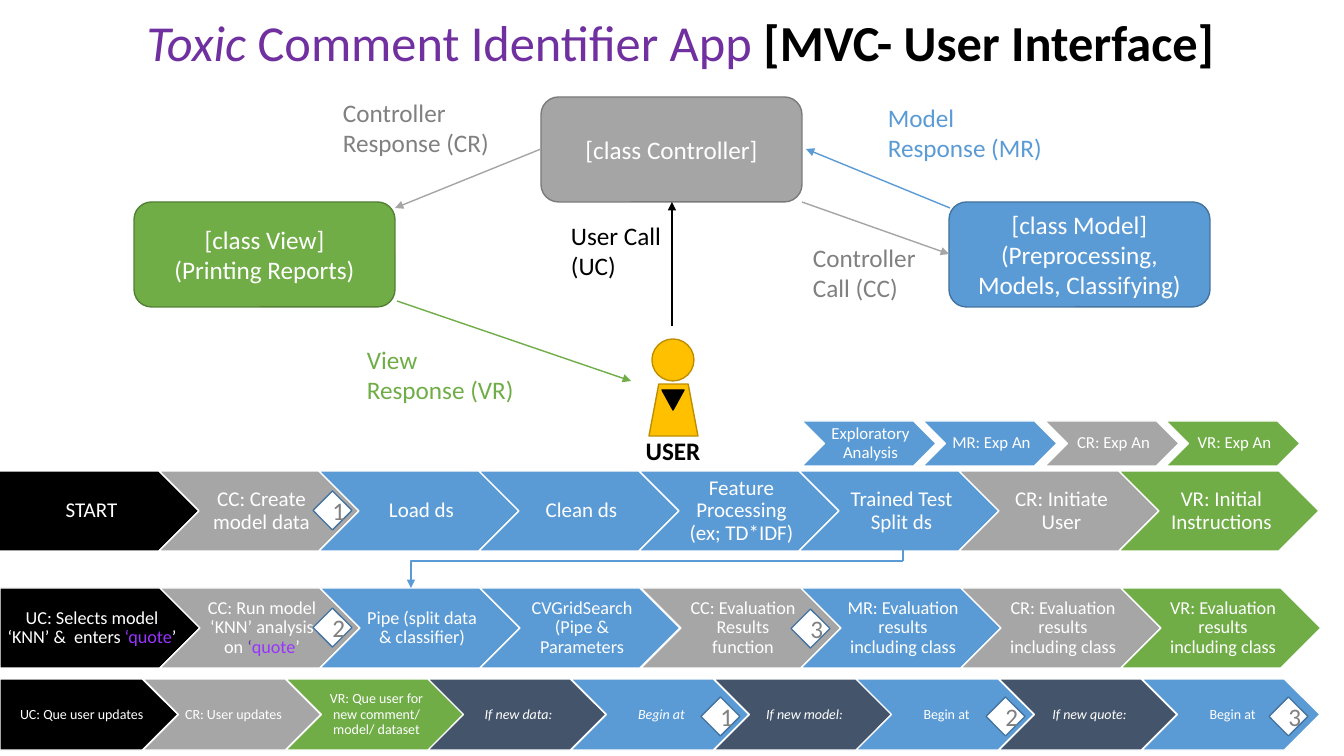
from lxml.etree import SubElement
from pptx import Presentation
from pptx.dml.color import RGBColor
from pptx.enum.shapes import MSO_CONNECTOR as LINK, MSO_SHAPE as SHAPE
from pptx.enum.text import MSO_ANCHOR as ANCHOR, PP_ALIGN as ALIGN
from pptx.oxml.ns import qn
from pptx.util import Inches, Pt

SCALE = Inches(1) / 100.8
FONT = "Calibri"
COLORS = {
    "black": "000000", "white": "FFFFFF", "purple": "7030A0", "violet": "9933FF",
    "green": "70AD47", "green edge": "538035", "blue": "5B9BD5", "blue edge": "43739E",
    "gray": "A5A5A5", "gray edge": "7A7A7A", "step gray": "A6A6A6", "label gray": "808080",
    "slate": "44546A", "gold": "FFC000", "gold edge": "BD8E00",
}

START_STEPS = [
    ("black", "START"), ("step gray", "CC: Create model data"), ("blue", "Load ds"),
    ("blue", "Clean ds"), ("blue", "Feature Processing (ex; TD*IDF)"),
    ("blue", "Trained Test Split ds"), ("step gray", "CR: Initiate User"),
    ("green", "VR: Initial Instructions"),
]
QUOTE_STEPS = [
    ("black", [("UC: Selects model ‘KNN’ &  enters ", {}), ("‘quote", {"color": "violet"}),
               ("’", {})]),
    ("step gray", [("CC: Run model ‘KNN’ analysis on ", {}), ("‘", {"color": "purple"}),
                   ("quote", {"color": "violet"}), ("’", {})]),
    ("blue", "Pipe (split data & classifier)"),
    ("blue", "CVGridSearch (Pipe & Parameters"),
    ("step gray", "CC: Evaluation Results function"),
    ("blue", "MR: Evaluation results including class"),
    ("step gray", "CR: Evaluation results including class"),
    ("green", "VR: Evaluation results including class"),
]
UPDATE_STEPS = [
    ("black", "UC: Que user updates"), ("step gray", "CR: User updates"),
    ("green", "VR: Que user for new comment/ model/ dataset"),
    ("slate", [("If new data:", {"italic": True})]),
    ("blue", [("Begin at", {"italic": True})]),
    ("slate", [("If new model:", {"italic": True})]),
    ("blue", "Begin at"),
    ("slate", [("If new quote:", {"italic": True})]),
    ("blue", "Begin at"),
]
EXPLORE_STEPS = [
    ("blue", "Exploratory Analysis"), ("blue", "MR: Exp An"),
    ("step gray", "CR: Exp An"), ("green", "VR: Exp An"),
]
CLASSES = [
    ((134, 202, 261, 105), "green", ["[class View]", "(Printing Reports)"]),
    ((949, 202, 261, 105), "blue", ["[class Model]", "(Preprocessing, Models, Classifying)"]),
    ((541, 97, 261, 105), "gray", ["[class Controller]"]),
]
CALLS = [
    ((397, 301), (631, 381), "green"), ((672, 326), (672, 202), "black"),
    ((541, 149), (395, 208), "gray"), ((802, 202), (949, 254), "gray"),
    ((950, 208), (806, 149), "blue"),
]
CALL_LABELS = [
    ((333, 92, 171, 71), "label gray", "Controller Response (CR)"),
    ((357, 339, 167, 71), "green", "View Response (VR)"),
    ((561, 215, 123, 71), "black", "User Call (UC)"),
    ((803, 237, 129, 71), "label gray", "Controller Call (CC)"),
    ((878, 97, 182, 71), "blue", "Model Response (MR)"),
]
MARKERS = [(701, 697, "1"), (313, 491, "1"), (986, 697, "2"),
           (313, 608, "2"), (1269, 697, "3"), (791, 609, "3")]


def px(length):
    return int(length * SCALE)


def rgb(color):
    return RGBColor.from_string(COLORS[color])


def write(frame, paragraphs, size, color, align=ALIGN.CENTER, bold=False, spacing=None):
    for index, content in enumerate(paragraphs):
        paragraph = frame.paragraphs[0] if index == 0 else frame.add_paragraph()
        paragraph.alignment = align
        paragraph.line_spacing = spacing
        pieces = [(content, {})] if isinstance(content, str) else content
        for words, style in pieces:
            run = paragraph.add_run()
            run.text = words
            run.font.name = FONT
            run.font.size = Pt(size)
            run.font.bold = style.get("bold", bold)
            run.font.italic = style.get("italic", False)
            run.font.color.rgb = rgb(style.get("color", color))


def add_figure(slide, preset, box, fill, edge, rotation=0):
    figure = slide.shapes.add_shape(preset, *map(px, box))
    figure.shadow.inherit = False
    figure.fill.solid()
    figure.fill.fore_color.rgb = rgb(fill)
    figure.line.color.rgb = rgb(edge)
    figure.line.width = Pt(1)
    figure.rotation = rotation
    figure.text_frame.word_wrap = True
    figure.text_frame.vertical_anchor = ANCHOR.MIDDLE
    return figure


def add_label(slide, box, color, words, **style):
    frame = slide.shapes.add_textbox(*map(px, box)).text_frame
    frame.word_wrap = True
    write(frame, [words], 18, color, **style)


def add_link(slide, start, end, color, arrow=True, kind=LINK.STRAIGHT):
    link = slide.shapes.add_connector(kind, *map(px, start + end))
    link.line.color.rgb = rgb(color)
    link.line.width = Pt(1)
    properties = link._element.spPr
    if arrow:
        SubElement(properties.find(qn("a:ln")), qn("a:tailEnd"), type="triangle")
    SubElement(properties, qn("a:effectLst"))
    return link


def add_corner_link(slide, start, end, color):
    link = add_link(slide, start, end, color, kind=LINK.ELBOW)
    geometry = link._element.spPr.find(qn("a:prstGeom"))
    guides = geometry.find(qn("a:avLst"))
    if guides is None:
        guides = SubElement(geometry, qn("a:avLst"))
    SubElement(guides, qn("a:gd"), name="adj1", fmla="val 100000")


def add_steps(slide, steps, first, last, top, size, points, insets):
    pitch = (last - first) / (len(steps) - 1)
    for index, (fill, words) in enumerate(steps):
        preset = SHAPE.PENTAGON if fill == "black" else SHAPE.CHEVRON
        box = (first + round(index * pitch), top, *size)
        frame = add_figure(slide, preset, box, fill, "white").text_frame
        frame.margin_left, frame.margin_right = px(insets[0]), px(insets[1])
        frame.margin_top = frame.margin_bottom = px(insets[2])
        write(frame, [words], points, "white", spacing=0.9)


def add_title(slide):
    title = slide.shapes.title
    title.left, title.top, title.width, title.height = map(px, (134, 5, 1093, 72))
    title.text_frame.word_wrap = False
    write(title.text_frame, [[
        ("Toxic ", {"italic": True}),
        ("Comment Identifier App ", {}),
        ("[MVC- User Interface]", {"color": "black", "bold": True}),
    ]], 36, "purple")


def add_user(slide):
    add_figure(slide, SHAPE.FLOWCHART_MANUAL_OPERATION, (649, 384, 49, 52),
               "gold", "gold edge", 180)
    add_figure(slide, SHAPE.OVAL, (652, 339, 42, 42), "gold", "gold edge")
    add_figure(slide, SHAPE.ISOSCELES_TRIANGLE, (662, 390, 22, 20), "black", "black", 180)
    add_label(slide, (631, 430, 84, 40), "black", "USER", bold=True)


def main():
    deck = Presentation()
    deck.slide_width, deck.slide_height = px(1344), px(756)
    slide = deck.slides.add_slide(deck.slide_layouts[5])
    add_title(slide)
    for box, color, lines in CLASSES:
        card = add_figure(slide, SHAPE.ROUNDED_RECTANGLE, box, color, color + " edge")
        write(card.text_frame, lines, 18, "white")
    for start, end, color in CALLS:
        add_link(slide, start, end, color)
    for box, color, words in CALL_LABELS:
        add_label(slide, box, color, words, align=ALIGN.LEFT)
    add_user(slide)
    add_steps(slide, START_STEPS, -1, 1119, 471, (200, 80), 15, (7, 2, 4))
    add_steps(slide, QUOTE_STEPS, 0, 1121, 588, (200, 80), 13, (6, 2, 4))
    add_corner_link(slide, (903, 561), (411, 588), "blue")
    add_link(slide, (903, 561), (903, 539), "blue", arrow=False)
    add_steps(slide, UPDATE_STEPS, 0, 1142, 679, (178, 71), 10, (4, 1, 3))
    for left, top, number in MARKERS:
        marker = add_figure(slide, SHAPE.DIAMOND, (left, top, 39, 39), "white", "blue edge")
        write(marker.text_frame, [number], 18, "label gray")
    add_steps(slide, EXPLORE_STEPS, 802, 1166, 421, (134, 45), 12, (5, 2, 2))
    deck.save("out.pptx")


main()
